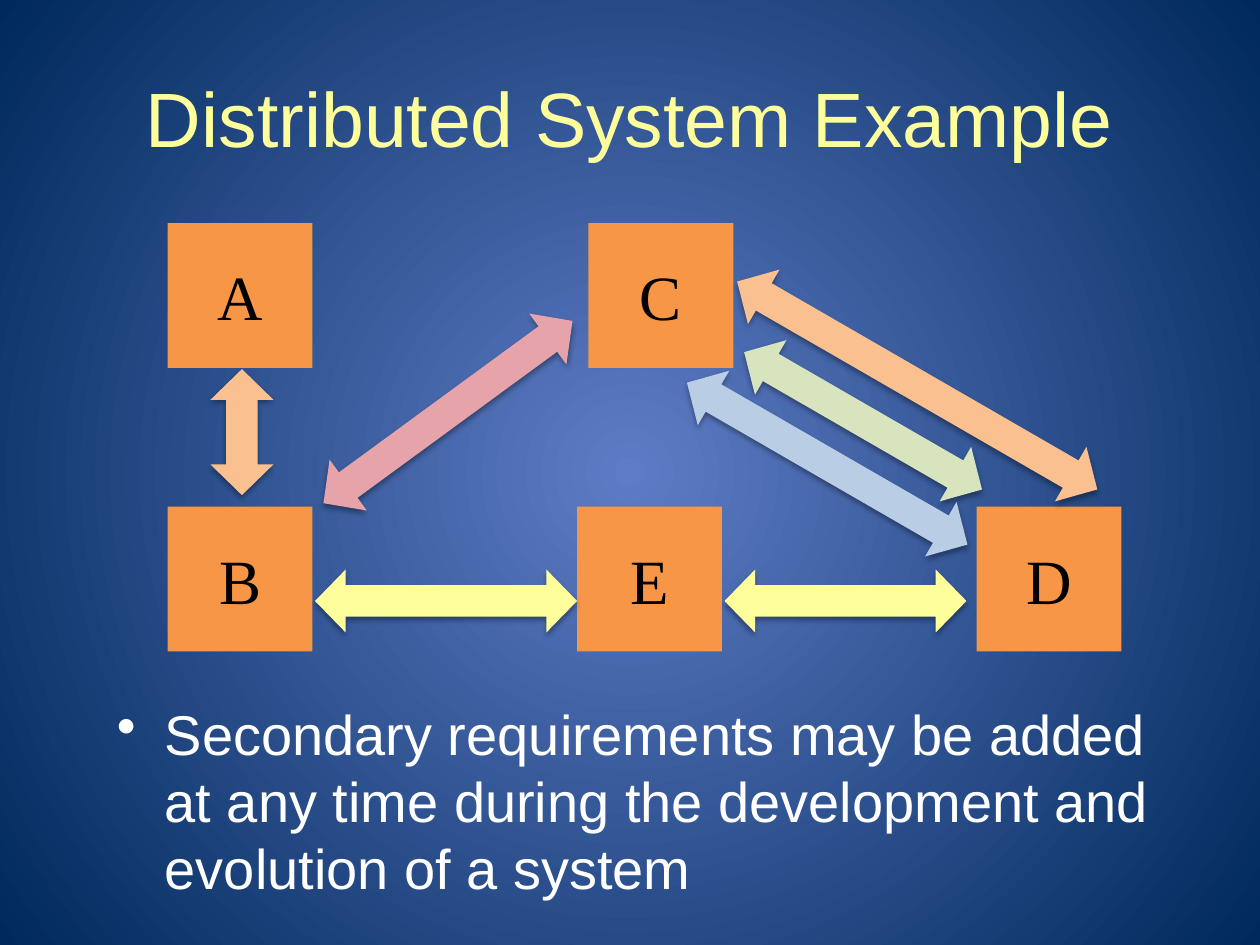
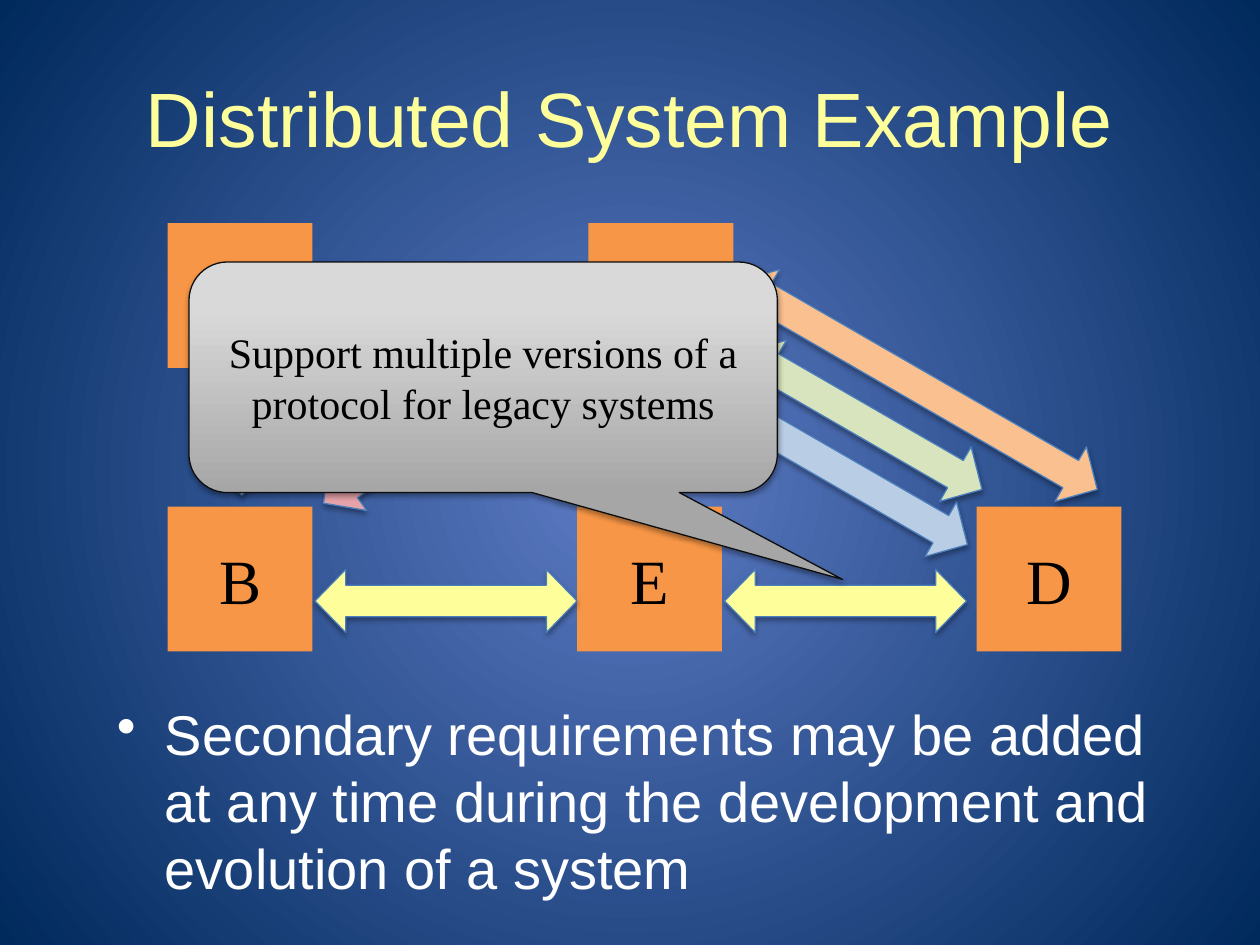
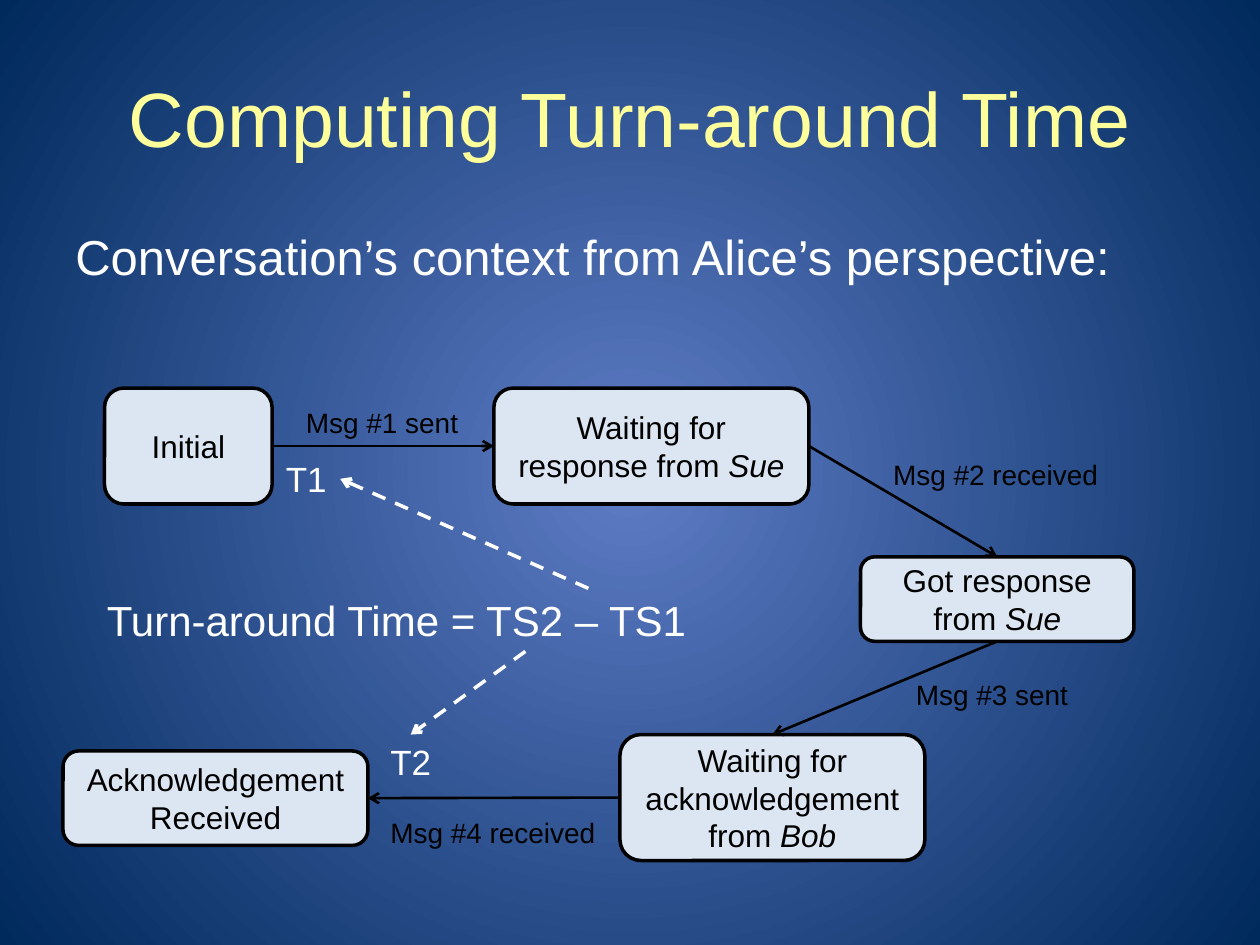
"""Build three slides on distributed systems and turn-around time."""
from lxml import etree
from pptx import Presentation
from pptx import util as u
from pptx.dml import color
from pptx.enum import dml, shapes, text
from pptx.oxml.ns import qn

PX = 9144
YELLOW, WHITE, BLACK = "FEFF9B", "FFFFFF", "000000"
ORANGE, PEACH, PINK, GREEN, BLUE = "F79646", "FAC090", "E6A3A9", "D7E4BD", "B9CDE5"
PALE, OUTLINE, DARK = "DCE6F2", "4B7EBC", "0D0D0D"
SANS, SERIF = "Arial", "Times New Roman"
TOP, LEFT, BOTTOM, RIGHT = range(4)


def rgb(value):
    return color.RGBColor.from_string(value)


def px(*values):
    return [u.Emu(v * PX) for v in values]


def add_xml(parent, tag, **attrs):
    return etree.SubElement(parent, qn(tag), attrs)


class Deck:
    def __init__(self):
        self.prs = Presentation()
        self.prs.slide_width, self.prs.slide_height = px(1000, 750)
        self.s = None
        master = self.prs.slide_master
        self.gradient(master.background.fill, "5E7CC5", "00295C")
        grad = master.element.xpath(".//p:bg//a:gradFill")[0]
        grad.remove(grad.find(qn("a:lin")))
        circle = add_xml(grad, "a:path", path="circle")
        add_xml(circle, "a:fillToRect", l="50000", t="50000", r="50000", b="50000")

    def gradient(self, fill, start, end, end_at=1.0):
        fill.gradient()
        first, last = fill.gradient_stops
        first.color.rgb, last.color.rgb = rgb(start), rgb(end)
        first.position, last.position = 0, end_at

    def put_text(self, tf, words, size, tint, font=SANS, italic="",
                 align=text.PP_ALIGN.CENTER):
        p = tf.paragraphs[0]
        p.alignment = align
        p.font.size, p.font.name = u.Pt(size), font
        p.font.color.rgb = rgb(tint)
        p.add_run().text = words
        if italic:
            r = p.add_run()
            r.text, r.font.italic = italic, True
        return p

    def slide(self, title):
        self.s = self.prs.slides.add_slide(self.prs.slide_layouts[5])
        sp = self.s.shapes.title
        sp.left, sp.top, sp.width, sp.height = px(50, 30, 900, 125)
        sp.text_frame.vertical_anchor = text.MSO_ANCHOR.MIDDLE
        self.put_text(sp.text_frame, title, 44, YELLOW)

    def shape(self, kind, at, fill=None, line=None, width=0.75, shadow=False):
        sp = self.s.shapes.add_shape(kind, *px(*at))
        sp.shadow.inherit = False
        if fill:
            sp.fill.solid()
            sp.fill.fore_color.rgb = rgb(fill)
        if line:
            sp.line.color.rgb, sp.line.width = rgb(line), u.Pt(width)
        else:
            sp.line.fill.background()
        if shadow:
            effects = sp.element.spPr.find(qn("a:effectLst"))
            outer = add_xml(effects, "a:outerShdw", blurRad="40000", dist="23000",
                            dir="5400000", rotWithShape="0")
            add_xml(add_xml(outer, "a:srgbClr", val=BLACK), "a:alpha", val="35000")
        return sp

    def node(self, x, y, name):
        sp = self.shape(shapes.MSO_SHAPE.RECTANGLE, (x, y, 115, 115), ORANGE)
        if name:
            self.put_text(sp.text_frame, name, 36, BLACK, SERIF)

    def arrow(self, x, y, width, tilt, fill, line):
        kind = shapes.MSO_SHAPE.LEFT_RIGHT_ARROW
        sp = self.shape(kind, (x, y, width, 50), fill, line, shadow=True)
        sp.adjustments[1] = 0.487
        sp.rotation = tilt

    def callout(self, at, words):
        kind = shapes.MSO_SHAPE.ROUNDED_RECTANGULAR_CALLOUT
        sp = self.shape(kind, at, line=DARK, shadow=True)
        self.gradient(sp.fill, "A6A6A6", "D9D9D9", 0.8)
        sp.fill.gradient_angle = 90
        sp.adjustments[0], sp.adjustments[1] = 0.611, 0.877
        self.put_text(sp.text_frame, words, 24, BLACK, SERIF)

    def state(self, at, words, italic=""):
        sp = self.shape(shapes.MSO_SHAPE.ROUNDED_RECTANGLE, at, PALE, BLACK, 2)
        self.put_text(sp.text_frame, words, 18, BLACK, italic=italic)
        return sp

    def body(self, at, words, size, bullet=False):
        tf = self.s.shapes.add_textbox(*px(*at)).text_frame
        tf.word_wrap = True
        p = self.put_text(tf, words, size, WHITE, align=text.PP_ALIGN.LEFT)
        p.space_before = u.Pt(size * 0.2)
        if bullet:
            pPr = p._p.get_or_add_pPr()
            pPr.set("marL", str(38 * PX))
            pPr.set("indent", str(-38 * PX))
            mark = etree.Element(qn("a:buChar"), char="•")
            pPr.find(qn("a:defRPr")).addprevious(mark)

    def label(self, at, words, size=16, tint=BLACK):
        tf = self.s.shapes.add_textbox(*px(*at)).text_frame
        tf.word_wrap = False
        tf.auto_size = text.MSO_AUTO_SIZE.SHAPE_TO_FIT_TEXT
        self.put_text(tf, words, size, tint, align=text.PP_ALIGN.LEFT)

    def line(self, ends=(0, 0, 0, 0), tint=BLACK, width=1.5, dashed=False):
        c = self.s.shapes.add_connector(shapes.MSO_CONNECTOR.STRAIGHT, *px(*ends))
        c.line.color.rgb, c.line.width = rgb(tint), u.Pt(width)
        if dashed:
            c.line.dash_style = dml.MSO_LINE.DASH
        spPr = c._element.spPr
        add_xml(spPr.find(qn("a:ln")), "a:tailEnd", type="arrow")
        add_xml(spPr, "a:effectLst")
        return c

    def link(self, start, start_side, end, end_side):
        c = self.line()
        c.begin_connect(start, start_side)
        c.end_connect(end, end_side)


def system_slide(deck, c_name, outline=None):
    deck.slide("Distributed System Example")
    for x, y, name in ((133, 402, "B"), (458, 402, "E"), (775, 402, "D"),
                       (133, 177, "A"), (467, 177, c_name)):
        deck.node(x, y, name)
    for x, y, width, tilt, fill in (
            (142, 318, 100, 90, PEACH), (233, 302, 245, 143.8, PINK),
            (563, 281, 330, 30, PEACH), (576, 309, 218, 30, GREEN),
            (528, 343, 257, 30, BLUE), (250, 452, 208, 0, YELLOW),
            (575, 452, 192, 0, YELLOW)):
        deck.arrow(x, y, width, tilt, fill, outline)
    deck.body((83, 550, 850, 192), "Secondary requirements may be added at any time "
              "during the development and evolution of a system", 32, bullet=True)


def time_slide(deck):
    deck.slide("Computing Turn-around Time")
    initial = deck.state((83, 308, 133, 92), "Initial")
    waiting = deck.state((392, 308, 250, 92), "Waiting for response from ", "Sue")
    got = deck.state((683, 442, 217, 67), "Got response from ", "Sue")
    pending = deck.state((492, 583, 242, 100), "Waiting for acknowledgement from ", "Bob")
    received = deck.state((50, 596, 242, 75), "Acknowledgement Received")
    deck.link(initial, RIGHT, waiting, LEFT)
    deck.link(waiting, RIGHT, got, TOP)
    deck.link(got, BOTTOM, pending, TOP)
    deck.link(pending, LEFT, received, RIGHT)
    deck.label((233, 317, 142, 37), "Msg #1 sent")
    deck.label((699, 358, 185, 37), "Msg #2 received")
    deck.label((717, 533, 142, 37), "Msg #3 sent")
    deck.label((300, 642, 185, 37), "Msg #4 received")
    deck.body((50, 175, 900, 75), "Conversation’s context from Alice’s perspective:", 28)
    deck.label((75, 467, 484, 50), "Turn-around Time = TS2 – TS1", 24, WHITE)
    deck.label((217, 358, 53, 44), "T1", 20, WHITE)
    deck.label((300, 583, 53, 44), "T2", 20, WHITE)
    for ends in ((467, 467, 270, 380), (417, 517, 326, 583)):
        deck.line(ends, WHITE, 2, dashed=True)


def main():
    deck = Deck()
    system_slide(deck, "C")
    system_slide(deck, "", OUTLINE)
    deck.callout((150, 208, 467, 183),
                 "Support multiple versions of a protocol for legacy systems")
    time_slide(deck)
    deck.prs.save("out.pptx")


if __name__ == "__main__":
    main()
